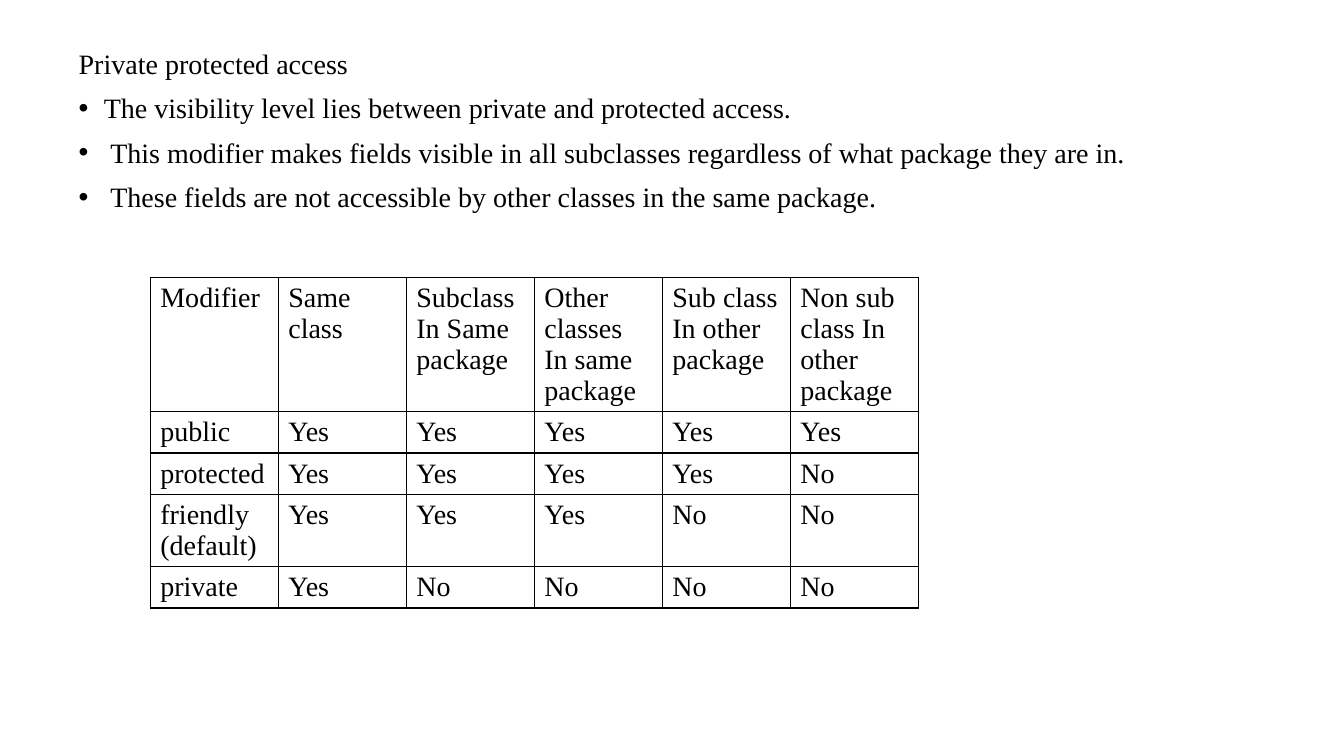
"""Build the slide on private protected access and the table of access modifiers."""
from typing import NamedTuple

from pptx import Presentation
from pptx.dml.color import RGBColor
from pptx.enum.text import MSO_ANCHOR, MSO_AUTO_SIZE
from pptx.oxml import parse_xml
from pptx.oxml.ns import nsdecls
from pptx.util import Inches, Pt

COLORS = {"text": "000000", "border": "000000", "background": "FFFFFF"}
FONT_FORMAT = {"name": "Times New Roman", "size": Pt(20), "bold": False}
PARAGRAPH_FORMAT = {"line_spacing": 0.9, "space_before": Pt(10)}
COLUMN_WIDTH = Inches(1.27)
BULLET_INDENT = Inches(0.25)


class Point(NamedTuple):
    """A line of the explanation, with or without a bullet."""
    text: str
    bulleted: bool = True


class AccessRow(NamedTuple):
    """A table row with its height in inches and its cell texts."""
    height: float
    cells: tuple[str, ...]


EXPLANATION = [
    Point("Private protected access", bulleted=False),
    Point("The visibility level lies between private and protected access."),
    Point(" This modifier makes fields visible in all subclasses regardless of what package they are in."),
    Point(" These fields are not accessible by other classes in the same package."),
]
ACCESS_ROWS = [
    AccessRow(1.33, ("Modifier", "Same class", "Subclass In Same package",
                     "Other classes In same package", "Sub class In other package",
                     "Non sub class In other package")),
    AccessRow(0.41, ("public", "Yes", "Yes", "Yes", "Yes", "Yes")),
    AccessRow(0.41, ("protected", "Yes", "Yes", "Yes", "Yes", "No")),
    AccessRow(0.72, ("friendly (default)", "Yes", "Yes", "Yes", "No", "No")),
    AccessRow(0.41, ("private", "Yes", "No", "No", "No", "No")),
]


def apply_format(target, values: dict) -> None:
    """Set every attribute listed in a dict of format values."""
    for attribute, value in values.items():
        setattr(target, attribute, value)


def write_text(paragraph, text: str) -> None:
    """Add a run in the slide's font and text colour."""
    run = paragraph.add_run()
    run.text = text
    apply_format(run.font, FONT_FORMAT)
    run.font.color.rgb = RGBColor.from_string(COLORS["text"])


def write_point(paragraph, point: Point) -> None:
    """Write one explanation line with its spacing, indent and bullet."""
    write_text(paragraph, point.text)
    apply_format(paragraph, PARAGRAPH_FORMAT)
    properties = paragraph._p.get_or_add_pPr()
    indent = BULLET_INDENT if point.bulleted else 0
    properties.set("marL", str(indent))
    properties.set("indent", str(-indent))
    if point.bulleted:
        properties.append(parse_xml(f'<a:buFont {nsdecls("a")} typeface="Arial"/>'))
        properties.append(parse_xml(f'<a:buChar {nsdecls("a")} char="•"/>'))
    else:
        properties.append(parse_xml(f'<a:buNone {nsdecls("a")}/>'))


def draw_explanation(body, points: list[Point]) -> None:
    """Place the body placeholder and fill it with the explanation."""
    apply_format(body, {"left": Inches(0.68), "top": Inches(0.45),
                        "width": Inches(11.74), "height": Inches(6.3)})
    frame = body.text_frame
    apply_format(frame, {"word_wrap": True, "auto_size": MSO_AUTO_SIZE.NONE,
                         "vertical_anchor": MSO_ANCHOR.TOP})
    for index, point in enumerate(points):
        write_point(frame.add_paragraph() if index else frame.paragraphs[0], point)


def draw_borders(cell) -> None:
    """Give a cell a thin line on all four sides, ahead of its fill."""
    properties = cell._tc.get_or_add_tcPr()
    for position, side in enumerate(("lnL", "lnR", "lnT", "lnB")):
        properties.insert(position, parse_xml(
            f'<a:{side} {nsdecls("a")} w="{Pt(1)}"><a:solidFill>'
            f'<a:srgbClr val="{COLORS["border"]}"/></a:solidFill></a:{side}>'))


def draw_access_table(slide, rows: list[AccessRow]) -> None:
    """Draw the table of where each modifier gives access."""
    column_count = len(rows[0].cells)
    table = slide.shapes.add_table(
        len(rows), column_count, Inches(1.49), Inches(2.75),
        COLUMN_WIDTH * column_count, Inches(sum(row.height for row in rows))).table
    apply_format(table, {"first_row": False, "horz_banding": False})
    for column in table.columns:
        column.width = COLUMN_WIDTH
    for table_row, access in zip(table.rows, rows):
        table_row.height = Inches(access.height)
        for cell, text in zip(table_row.cells, access.cells):
            write_text(cell.text_frame.paragraphs[0], text)
            cell.fill.background()
            draw_borders(cell)


def main() -> None:
    """Build and save the presentation."""
    presentation = Presentation()
    apply_format(presentation, {"slide_width": Inches(13.33), "slide_height": Inches(7.5)})
    slide = presentation.slides.add_slide(presentation.slide_layouts[1])
    background = slide.background.fill
    background.solid()
    background.fore_color.rgb = RGBColor.from_string(COLORS["background"])
    unused_title = slide.shapes.title.element
    unused_title.getparent().remove(unused_title)
    draw_explanation(slide.placeholders[1], EXPLANATION)
    draw_access_table(slide, ACCESS_ROWS)
    presentation.save("out.pptx")


main()
